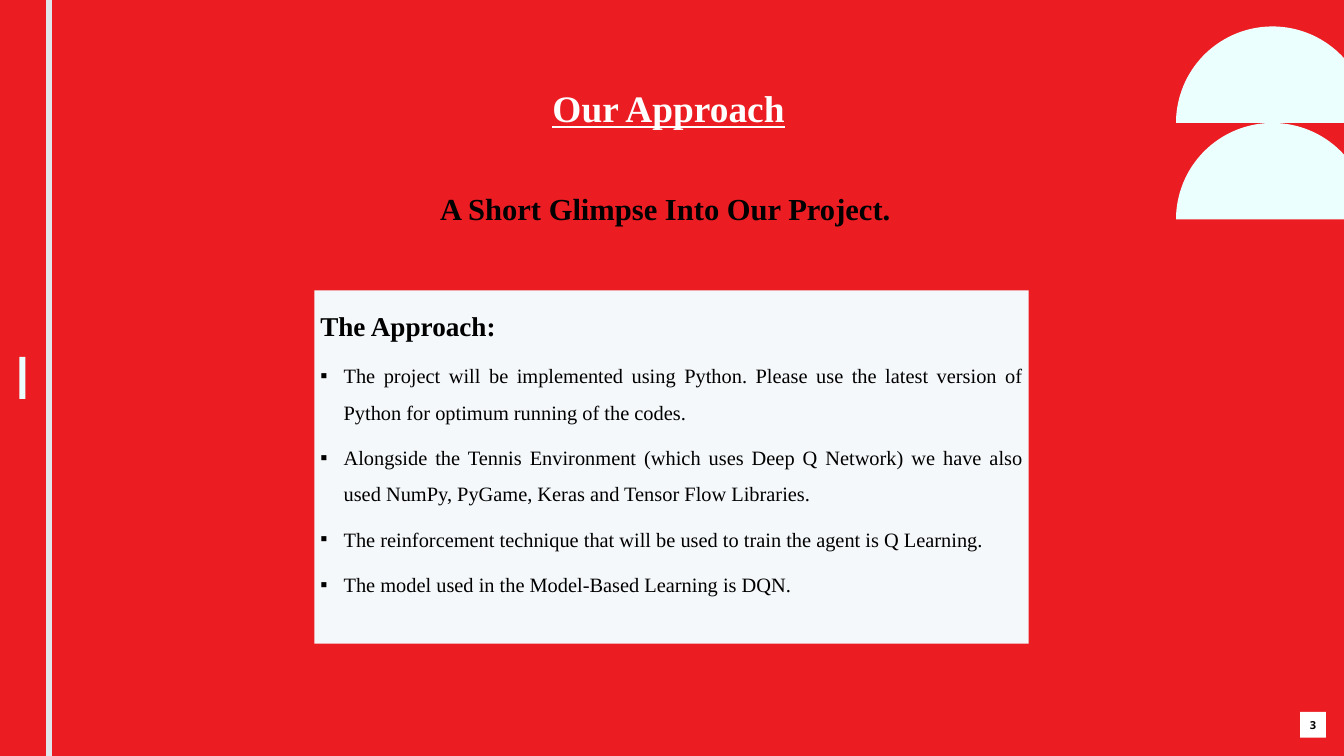
import math

import lxml.etree
import pptx
import pptx.dml.color
import pptx.enum.shapes
import pptx.enum.text
import pptx.oxml.ns
import pptx.util

Cm = pptx.util.Cm
Pt = pptx.util.Pt
RGBColor = pptx.dml.color.RGBColor
ALIGN = pptx.enum.text.PP_ALIGN
ANCHOR = pptx.enum.text.MSO_ANCHOR
qn = pptx.oxml.ns.qn

RED = RGBColor(0xEC, 0x1C, 0x23)
ICE = RGBColor(0xEC, 0xFF, 0xFF)
GREY = RGBColor(0xE0, 0xE6, 0xE9)
PALE = RGBColor(0xF5, 0xF8, 0xFA)
WHITE = RGBColor(0xFF, 0xFF, 0xFF)
BLACK = RGBColor(0, 0, 0)
WIDTH, HEIGHT = Cm(55.85), Cm(31.42)


def write(para, text, size=24, color=BLACK, font="Times New Roman", bold=False,
          under=False, align=ALIGN.LEFT, space=None, before=None):
    """Put one formatted run of text into a paragraph."""
    para.alignment = align
    if space is not None:
        para.line_spacing = space
    if before is not None:
        para.space_before = Pt(before)
    run = para.add_run()
    run.text = text
    run.font.size, run.font.name = Pt(size), font
    run.font.bold, run.font.underline = bold, under
    run.font.color.rgb = color


def mark(para, indent):
    """Give a paragraph a square bullet with a hanging indent."""
    props = para._p.get_or_add_pPr()
    props.set("marL", str(indent))
    props.set("indent", str(-indent))
    tint = lxml.etree.SubElement(props, qn("a:buClr"))
    lxml.etree.SubElement(tint, qn("a:srgbClr"), val=str(BLACK))
    lxml.etree.SubElement(props, qn("a:buFont"), typeface="Arial")
    lxml.etree.SubElement(props, qn("a:buChar"), char="▪")


class Page:
    """Hold the current slide and draw its elements in one style."""

    def __init__(self, deck):
        """Add a title-only slide with a red background."""
        self.slide = deck.slides.add_slide(deck.slide_layouts[5])
        self.shapes = self.slide.shapes
        fill = self.slide.background.fill
        fill.solid()
        fill.fore_color.rgb = RED

    def paint(self, shape, color):
        """Fill a shape plainly, with neither line nor shadow."""
        shape.shadow.inherit = False
        shape.fill.solid()
        shape.fill.fore_color.rgb = color
        shape.line.fill.background()
        return shape

    def title(self, text, left, top, width, height):
        """Move and format the title placeholder."""
        title = self.shapes.title
        title.left, title.top, title.width, title.height = left, top, width, height
        frame = title.text_frame
        frame.auto_size = pptx.enum.text.MSO_AUTO_SIZE.NONE
        frame.vertical_anchor = ANCHOR.TOP
        frame.margin_left = frame.margin_right = frame.margin_bottom = 0
        frame.margin_top = Cm(0.03)
        write(frame.paragraphs[0], text, size=36, bold=True)

    def label(self, text, left, top, width, height, **style):
        """Add a text box with one line of text."""
        frame = self.shapes.add_textbox(left, top, width, height).text_frame
        frame.word_wrap = True
        write(frame.paragraphs[0], text, **style)

    def block(self, color, left, top, width, height):
        """Add a filled rectangle and return it."""
        kind = pptx.enum.shapes.MSO_SHAPE.RECTANGLE
        return self.paint(self.shapes.add_shape(kind, left, top, width, height), color)

    def panel(self, head, items, *place):
        """Add a pale box with a heading and bulleted items."""
        frame = self.block(PALE, *place).text_frame
        frame.vertical_anchor = ANCHOR.TOP
        frame.word_wrap = True
        style = dict(align=ALIGN.JUSTIFY, space=1.5, before=10)
        write(frame.paragraphs[0], head, size=32, bold=True, **style)
        for item in items:
            para = frame.add_paragraph()
            write(para, item, **style)
            mark(para, Cm(0.97))

    def badge(self, text, *place):
        """Add a white square with the page number."""
        frame = self.block(WHITE, *place).text_frame
        frame.margin_left = frame.margin_right = 0
        frame.margin_top = frame.margin_bottom = 0
        frame.vertical_anchor = ANCHOR.MIDDLE
        write(frame.paragraphs[0], text, size=13, font="Noto Sans", bold=True,
              align=ALIGN.CENTER)

    def rule(self, left):
        """Draw a thick line down the whole slide."""
        kind = pptx.enum.shapes.MSO_CONNECTOR.STRAIGHT
        line = self.shapes.add_connector(kind, left, 0, left, HEIGHT)
        line.line.color.rgb, line.line.width = GREY, Pt(7)
        lxml.etree.SubElement(line._element.spPr, qn("a:effectLst"))

    def dome(self, mid, base, radius, steps=60):
        """Draw a half disc that the right slide edge cuts off."""
        last = math.acos((WIDTH - mid) / radius)
        turns = [math.pi + (last - math.pi) * i / steps for i in range(steps + 1)]
        arc = [(mid + radius * math.cos(t), base - radius * math.sin(t)) for t in turns]
        path = self.shapes.build_freeform(WIDTH, base, scale=1.0)
        path.add_line_segments(arc, close=True)
        self.paint(path.convert_to_shape(), ICE)


def main():
    """Build the slide and save it."""
    deck = pptx.Presentation()
    deck.slide_width, deck.slide_height = WIDTH, HEIGHT
    page = Page(deck)
    page.rule(Cm(2.03))
    page.block(ICE, Cm(0.81), Cm(14.83), Cm(0.25), Cm(1.75))
    page.title("A Short Glimpse Into Our Project.",
               Cm(18.29), Cm(7.85), Cm(19.23), Cm(1.57))
    page.label("Our Approach", Cm(22.71), Cm(3.43), Cm(10.39), Cm(2.13),
               size=44, color=WHITE, bold=True, under=True)
    radius = Cm(4.01)
    for row in (1, 2):
        page.dome(Cm(52.88), Cm(1.1) + row * radius, radius)
    page.badge("3", Cm(54.03), Cm(29.59), Cm(1.07), Cm(1.07))
    page.panel("The Approach:", [
        "The project will be implemented using Python. Please use the latest "
        "version of Python for optimum running of the codes.",
        "Alongside the Tennis Environment (which uses Deep Q Network) we have "
        "also used NumPy, PyGame, Keras and Tensor Flow Libraries.",
        "The reinforcement technique that will be used to train the agent is "
        "Q Learning.",
        "The model used in the Model-Based Learning is DQN.",
    ], Cm(13.06), Cm(12.07), Cm(29.69), Cm(14.68))
    deck.save("out.pptx")


main()
